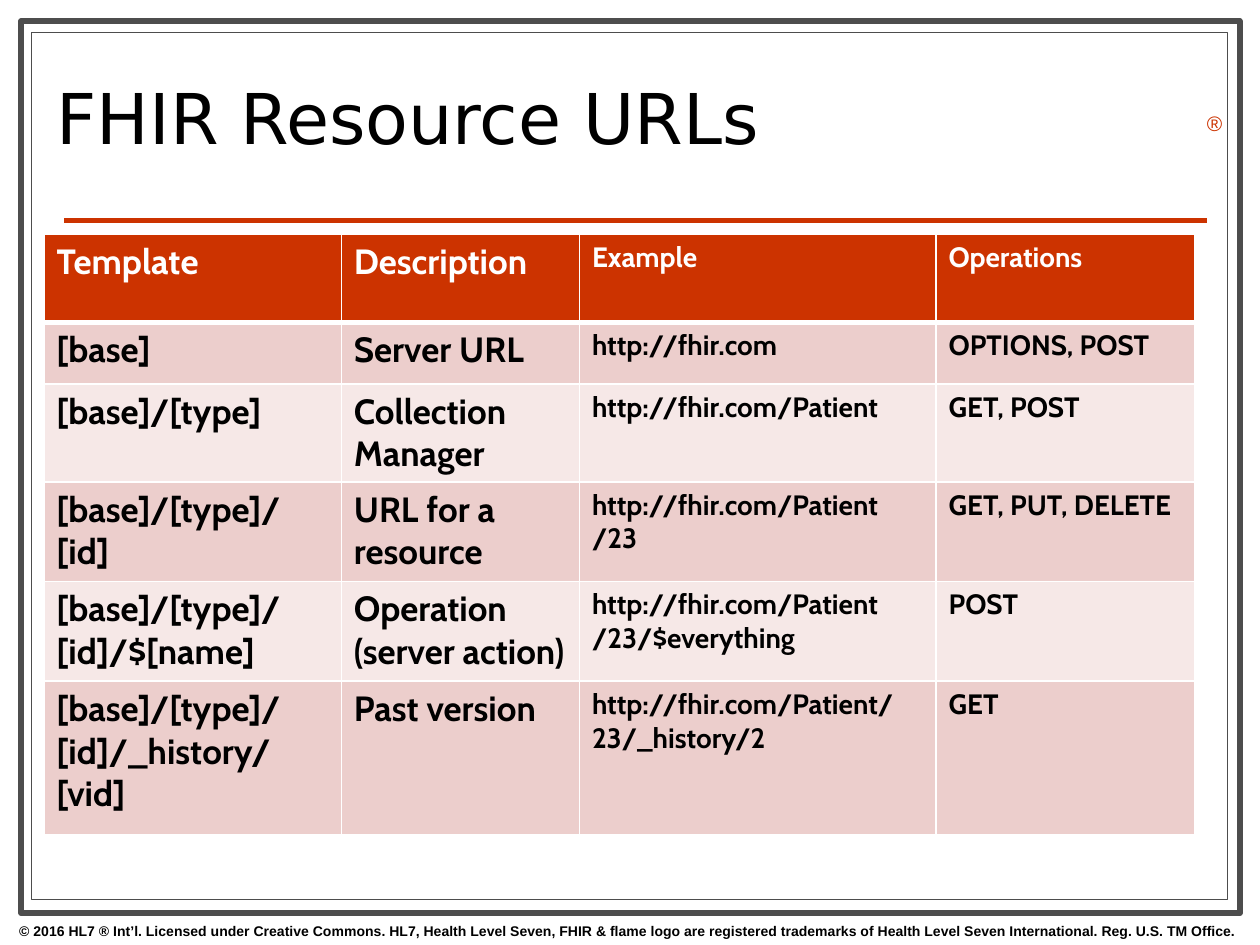
"""Build a slide that lists FHIR resource URLs in a table."""
from dataclasses import dataclass

from lxml import etree
from pptx import Presentation
from pptx.dml.color import RGBColor
from pptx.enum import shapes, text
from pptx.oxml import ns
from pptx.util import Cm, Pt

WHITE = RGBColor(0xFF, 0xFF, 0xFF)
BLACK = RGBColor(0, 0, 0)
GREY = RGBColor(0x4D, 0x4D, 0x4D)
RED = RGBColor(0xCC, 0x33, 0x00)
ROSE = RGBColor(0xEC, 0xCE, 0xCC)
PALE_ROSE = RGBColor(0xF6, 0xE8, 0xE7)


@dataclass(frozen=True)
class Box:
    left: float
    top: float
    width: float
    height: float

    def lengths(self) -> tuple:
        return Cm(self.left), Cm(self.top), Cm(self.width), Cm(self.height)


@dataclass(frozen=True)
class Frame:
    box: Box
    weight: float


@dataclass(frozen=True)
class Note:
    box: Box
    wording: str
    size: int
    color: RGBColor
    bold: bool
    align: text.PP_ALIGN


@dataclass(frozen=True)
class UrlRow:
    height: float
    template: str
    description: str
    example: str
    operations: str


FRAMES = (
    Frame(Box(0.43, 0.43, 24.56, 17.98), 3.5),
    Frame(Box(0.64, 0.66, 24.1, 17.48), 0.75),
)
NOTES = (
    Note(Box(-0.03, 18.47, 25.4, 0.58),
         "© 2016 HL7 ® Int’l. Licensed under Creative Commons. HL7, Health Level Seven, "
         "FHIR & flame logo are registered trademarks of Health Level Seven International. "
         "Reg. U.S. TM Office.", 8, BLACK, True, text.PP_ALIGN.CENTER),
    Note(Box(24.08, 2.11, 0.79, 0.76), "®", 12, RED, False, text.PP_ALIGN.LEFT),
)
COLUMN_WIDTHS = (5.99, 4.8, 7.19, 5.21)
COLUMN_SIZES = (20, 20, 16, 16)
URL_ROWS = (
    UrlRow(1.78, "Template", "Description", "Example", "Operations"),
    UrlRow(1.24, "[base]", "Server URL", "http://fhir.com", "OPTIONS, POST"),
    UrlRow(1.96, "[base]/[type]", "Collection Manager", "http://fhir.com/Patient", "GET, POST"),
    UrlRow(2.01, "[base]/[type]/[id]", "URL for a resource", "http://fhir.com/Patient\n/23",
           "GET, PUT, DELETE"),
    UrlRow(2.01, "[base]/[type]/[id]/$[name]", "Operation (server action)",
           "http://fhir.com/Patient\v/23/$everything", "POST"),
    UrlRow(3.1, "[base]/[type]/[id]/_history/[vid]", "Past version",
           "http://fhir.com/Patient/23/_history/2", "GET"),
)


def style(paragraph, face: str, size: int, color: RGBColor, bold: bool = False) -> None:
    font = paragraph.font
    font.name, font.size, font.bold = face, Pt(size), bold
    font.color.rgb = color


def draw_frame(slide, frame: Frame) -> None:
    border = slide.shapes.add_shape(shapes.MSO_SHAPE.RECTANGLE, *frame.box.lengths())
    border.shadow.inherit = False
    border.fill.solid()
    border.fill.fore_color.rgb = WHITE
    border.line.color.rgb = GREY
    border.line.width = Pt(frame.weight)


def draw_rule(slide) -> None:
    rule = slide.shapes.add_connector(
        shapes.MSO_CONNECTOR.STRAIGHT, Cm(1.3), Cm(4.45), Cm(24.33), Cm(4.45))
    rule.line.color.rgb = RED
    rule.line.width = Pt(3)
    etree.SubElement(rule.element.spPr, ns.qn("a:effectLst"))


def draw_note(slide, note: Note) -> None:
    frame = slide.shapes.add_textbox(*note.box.lengths()).text_frame
    frame.word_wrap = True
    frame.auto_size = text.MSO_AUTO_SIZE.SHAPE_TO_FIT_TEXT
    frame.text = note.wording
    paragraph = frame.paragraphs[0]
    paragraph.alignment = note.align
    style(paragraph, "Arial", note.size, note.color, note.bold)


def place_title(slide) -> None:
    title = slide.shapes.title
    title.element.getparent().append(title.element)
    title.left, title.top, title.width, title.height = Box(0.89, 0.91, 18.21, 3.2).lengths()
    frame = title.text_frame
    frame.text = "FHIR Resource URLs"
    frame.auto_size = text.MSO_AUTO_SIZE.NONE
    frame.vertical_anchor = text.MSO_ANCHOR.MIDDLE
    heading = frame.paragraphs[0]
    heading.alignment = text.PP_ALIGN.LEFT
    heading.line_spacing = 0.8
    style(heading, "DejaVu Sans", 40, BLACK)


def border_cell(cell, bottom: float) -> None:
    properties = cell._tc.get_or_add_tcPr()
    weights = {"lnL": 1, "lnR": 1, "lnT": 1, "lnB": bottom}
    for position, (side, weight) in enumerate(weights.items()):
        edge = etree.Element(ns.qn(f"a:{side}"), w=str(Pt(weight)))
        fill = etree.SubElement(edge, ns.qn("a:solidFill"))
        etree.SubElement(fill, ns.qn("a:srgbClr"), val=str(WHITE))
        properties.insert(position, edge)


def draw_url_table(slide) -> None:
    box = Box(0.89, 4.72, sum(COLUMN_WIDTHS), sum(row.height for row in URL_ROWS))
    table = slide.shapes.add_table(
        len(URL_ROWS), len(COLUMN_WIDTHS), *box.lengths()).table
    for column, width in zip(table.columns, COLUMN_WIDTHS):
        column.width = Cm(width)
    for index, url_row in enumerate(URL_ROWS):
        table.rows[index].height = Cm(url_row.height)
        is_header = index == 0
        band = RED if is_header else ROSE if index % 2 else PALE_ROSE
        wordings = (url_row.template, url_row.description, url_row.example, url_row.operations)
        for cell, wording, size in zip(table.rows[index].cells, wordings, COLUMN_SIZES):
            cell.text = wording
            cell.fill.solid()
            cell.fill.fore_color.rgb = band
            border_cell(cell, 3 if is_header else 1)
            for paragraph in cell.text_frame.paragraphs:
                style(paragraph, "Cabin", size, WHITE if is_header else BLACK, True)


def main() -> None:
    deck = Presentation()
    deck.slide_width, deck.slide_height = Cm(25.4), Cm(19.05)
    slide = deck.slides.add_slide(deck.slide_layouts[5])
    for frame in FRAMES:
        draw_frame(slide, frame)
    draw_rule(slide)
    for note in NOTES:
        draw_note(slide, note)
    place_title(slide)
    draw_url_table(slide)
    deck.save("out.pptx")


if __name__ == "__main__":
    main()
